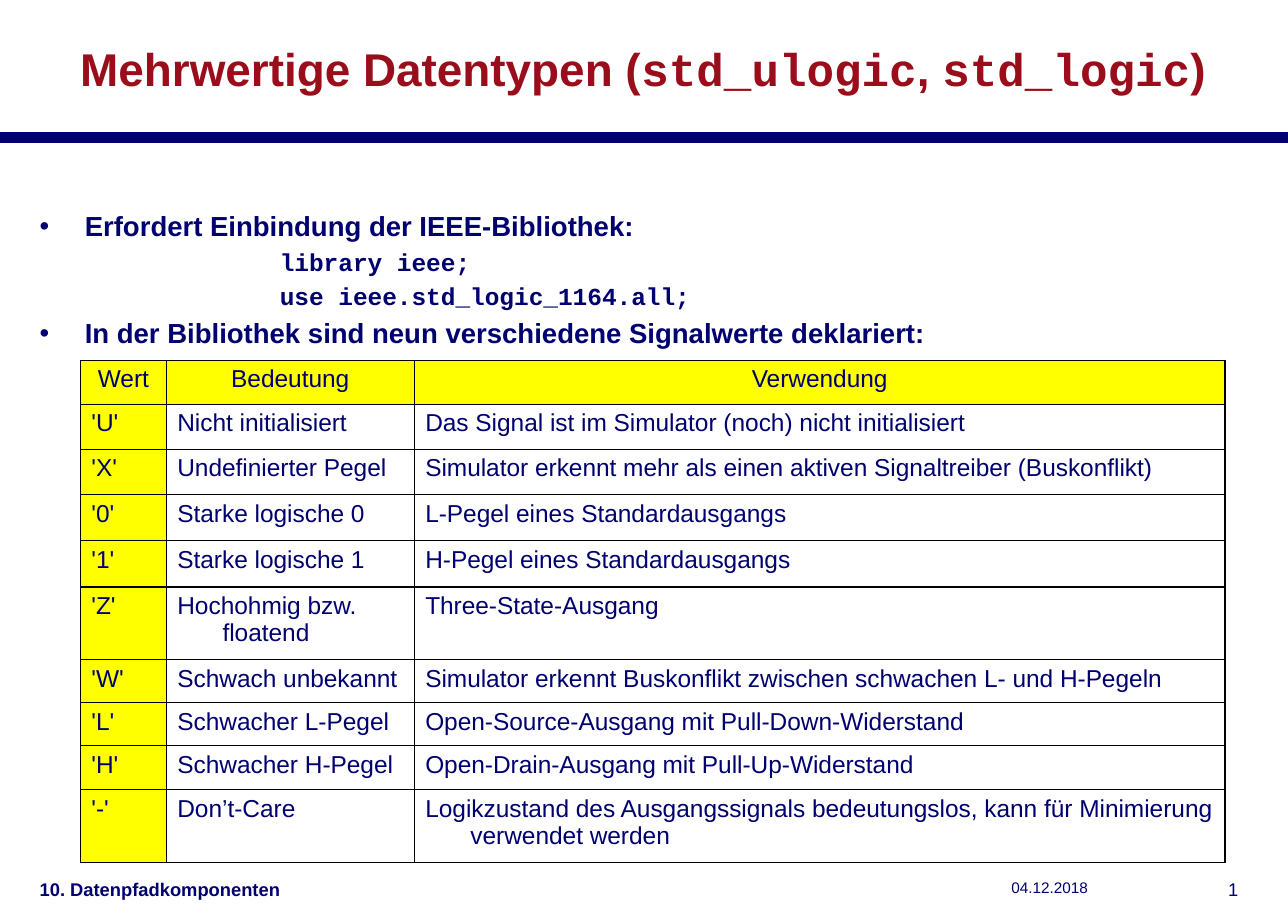
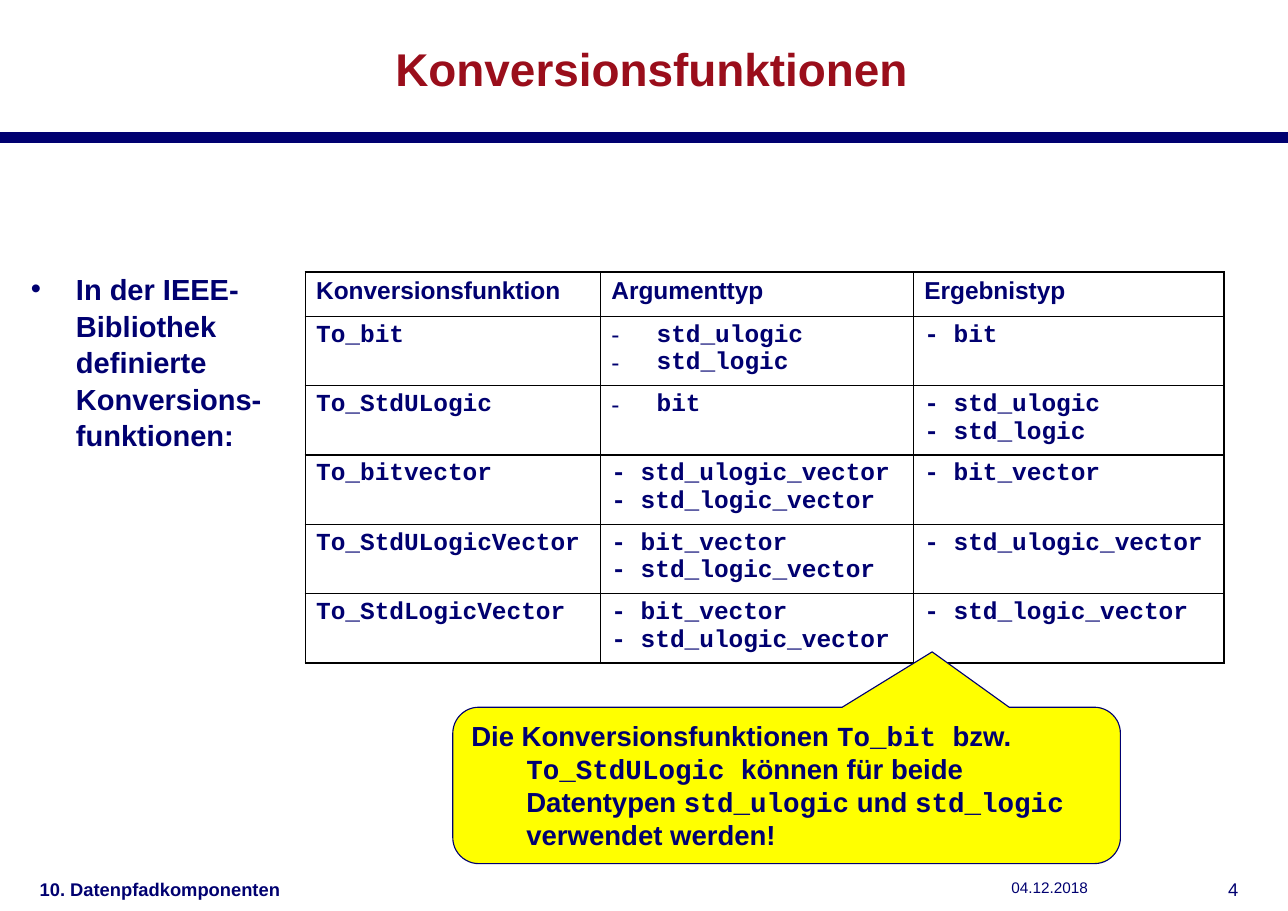
import dataclasses

import lxml.etree
import pptx
import pptx.dml.color
import pptx.enum.shapes
import pptx.enum.text
import pptx.oxml.ns
import pptx.presentation
import pptx.shapes.base
import pptx.slide
import pptx.table
import pptx.text.text
import pptx.util

Inches = pptx.util.Inches
Pt = pptx.util.Pt
RGB = pptx.dml.color.RGBColor
Align = pptx.enum.text.PP_ALIGN
Anchor = pptx.enum.text.MSO_ANCHOR
qn = pptx.oxml.ns.qn


@dataclasses.dataclass(frozen=True)
class Theme:
    navy: RGB = RGB(0x00, 0x00, 0x70)
    red: RGB = RGB(0x9A, 0x0E, 0x1B)
    yellow: RGB = RGB(0xFF, 0xFF, 0x00)
    border: str = "000000"
    font: str = "Arial"
    code_font: str = "Courier New"
    title_size: float = 30
    side_size: float = 19
    body_size: float = 18
    table_size: float = 16
    footer_size: float = 12
    date_size: float = 10


THEME = Theme()


@dataclasses.dataclass(frozen=True)
class Style:
    size: float
    bold: bool = True
    color: RGB = THEME.navy
    align: Align = Align.LEFT
    margin: float = 0
    indent: float = 0
    space_before: float = 0
    line_spacing: float = 1.0
    bullet: str = ""


@dataclasses.dataclass(frozen=True)
class Para:
    """One paragraph; backticks enclose code."""
    text: str
    style: Style


@dataclasses.dataclass(frozen=True)
class Box:
    left: float
    top: float
    width: float
    height: float

    def lengths(self) -> tuple[pptx.util.Length, ...]:
        return tuple(Inches(value) for value in dataclasses.astuple(self))


@dataclasses.dataclass(frozen=True)
class Cell:
    paras: list[Para]
    highlighted: bool = False


TITLE = Style(THEME.title_size, color=THEME.red, align=Align.CENTER)
POINT = Style(THEME.body_size, margin=0.41, indent=-0.41, space_before=3.6, bullet="•")
SIDE_POINT = dataclasses.replace(POINT, size=THEME.side_size, line_spacing=1.05)
LISTING = Style(THEME.table_size, margin=2.45, indent=-0.27, space_before=3.2)
VALUE = Style(THEME.table_size, bold=False, margin=0.41, indent=-0.41)
VALUE_HEAD = dataclasses.replace(VALUE, align=Align.CENTER)
ENTRY = dataclasses.replace(VALUE, bold=True, align=Align.JUSTIFY)
DASHED_ENTRY = dataclasses.replace(ENTRY, bullet="-")
REMARK = Style(THEME.body_size, margin=0.5, indent=-0.5, space_before=9)
CHAPTER = Style(THEME.footer_size)
PAGE = Style(THEME.footer_size, bold=False, align=Align.RIGHT)
DATE = Style(THEME.date_size, bold=False)

SIGNAL_HEADS = ["Wert", "Bedeutung", "Verwendung"]
SIGNALS = [
    ("'U'", "Nicht initialisiert", "Das Signal ist im Simulator (noch) nicht initialisiert"),
    ("'X'", "Undefinierter Pegel",
     "Simulator erkennt mehr als einen aktiven Signaltreiber (Buskonflikt)"),
    ("'0'", "Starke logische 0", "L-Pegel eines Standardausgangs"),
    ("'1'", "Starke logische 1", "H-Pegel eines Standardausgangs"),
    ("'Z'", "Hochohmig bzw. floatend", "Three-State-Ausgang"),
    ("'W'", "Schwach unbekannt",
     "Simulator erkennt Buskonflikt zwischen schwachen L- und H-Pegeln"),
    ("'L'", "Schwacher L-Pegel", "Open-Source-Ausgang mit Pull-Down-Widerstand"),
    ("'H'", "Schwacher H-Pegel", "Open-Drain-Ausgang mit Pull-Up-Widerstand"),
    ("'-'", "Don’t-Care",
     "Logikzustand des Ausgangssignals bedeutungslos, kann für Minimierung verwendet werden"),
]

CONVERSION_HEADS = ["Konversionsfunktion", "Argumenttyp", "Ergebnistyp"]
CONVERSIONS = [
    ("To_bit", ["std_ulogic", "std_logic"], ["bit"]),
    ("To_StdULogic", ["bit"], ["std_ulogic", "std_logic"]),
    ("To_bitvector", ["std_ulogic_vector", "std_logic_vector"], ["bit_vector"]),
    ("To_StdULogicVector", ["bit_vector", "std_logic_vector"], ["std_ulogic_vector"]),
    ("To_StdLogicVector", ["bit_vector", "std_ulogic_vector"], ["std_logic_vector"]),
]
SCALAR_FUNCTIONS = {"To_bit", "To_StdULogic"}


def format_paragraph(paragraph: pptx.text.text._Paragraph, style: Style) -> None:
    paragraph.alignment = style.align
    paragraph.space_before = Pt(style.space_before)
    paragraph.line_spacing = style.line_spacing
    properties = paragraph._p.get_or_add_pPr()
    properties.set("marL", str(Inches(style.margin)))
    properties.set("indent", str(Inches(style.indent)))
    if style.bullet:
        lxml.etree.SubElement(properties, qn("a:buFont"), typeface=THEME.font)
        lxml.etree.SubElement(properties, qn("a:buChar"), char=style.bullet)
    else:
        lxml.etree.SubElement(properties, qn("a:buNone"))


def write(frame: pptx.text.text.TextFrame, paras: list[Para]) -> None:
    for index, para in enumerate(paras):
        paragraph = frame.add_paragraph() if index else frame.paragraphs[0]
        format_paragraph(paragraph, para.style)
        for part, words in enumerate(para.text.split("`")):
            if words:
                run = paragraph.add_run()
                run.text = words
                run.font.name = THEME.code_font if part % 2 else THEME.font
                run.font.size = Pt(para.style.size)
                run.font.bold = para.style.bold
                run.font.color.rgb = para.style.color


def fill_frame(shape: pptx.shapes.base.BaseShape, paras: list[Para],
               anchor: Anchor = Anchor.TOP, side_inset: float = 0.11) -> None:
    frame = shape.text_frame
    frame.word_wrap = True
    frame.auto_size = pptx.enum.text.MSO_AUTO_SIZE.NONE
    frame.vertical_anchor = anchor
    frame.margin_left = frame.margin_right = Inches(side_inset)
    frame.margin_top = frame.margin_bottom = Inches(0.05)
    write(frame, paras)


def add_text(slide: pptx.slide.Slide, box: Box, paras: list[Para]) -> None:
    fill_frame(slide.shapes.add_textbox(*box.lengths()), paras)


def add_band(slide: pptx.slide.Slide, width: pptx.util.Length) -> None:
    height = Inches(1.25)
    band = slide.shapes.add_connector(
        pptx.enum.shapes.MSO_CONNECTOR.STRAIGHT, 0, height, width, height)
    band.line.color.rgb = THEME.navy
    band.line.width = Pt(7.09)
    lxml.etree.SubElement(band._element.spPr, qn("a:effectLst"))


def add_slide(deck: pptx.presentation.Presentation, title: str, title_left: float,
              page: int) -> pptx.slide.Slide:
    """Add a slide with the shared title, band and footer."""
    slide = deck.slides.add_slide(deck.slide_layouts.get_by_name("Title Only"))
    heading = slide.shapes.title
    heading.left, heading.top, heading.width, heading.height = Box(
        title_left, 0.28, 11.17, 0.68).lengths()
    fill_frame(heading, [Para(title, TITLE)], Anchor.MIDDLE)
    add_band(slide, deck.slide_width)
    for left, width, text, style in (
        (0.25, 3.31, "10. Datenpfadkomponenten", CHAPTER),
        (9.07, 1.65, "04.12.2018", DATE),
        (10.88, 0.47, str(page), PAGE),
    ):
        add_text(slide, Box(left, 7.92, width, 0.35), [Para(text, style)])
    return slide


def add_borders(cell: pptx.table._Cell) -> None:
    properties = cell._tc.get_or_add_tcPr()
    for position, side in enumerate(("a:lnL", "a:lnR", "a:lnT", "a:lnB")):
        line = lxml.etree.Element(qn(side), w=str(Pt(1)))
        fill = lxml.etree.SubElement(line, qn("a:solidFill"))
        lxml.etree.SubElement(fill, qn("a:srgbClr"), val=THEME.border)
        properties.insert(position, line)


def add_grid(slide: pptx.slide.Slide, left: float, top: float, widths: list[float],
             heights: list[float], rows: list[list[Cell]]) -> None:
    box = Box(left, top, sum(widths), sum(heights))
    table = slide.shapes.add_table(len(heights), len(widths), *box.lengths()).table
    table.first_row = table.horz_banding = False
    for column, width in zip(table.columns, widths):
        column.width = Inches(width)
    for row, height, contents in zip(table.rows, heights, rows):
        row.height = Inches(height)
        for cell, content in zip(row.cells, contents):
            if content.highlighted:
                cell.fill.solid()
                cell.fill.fore_color.rgb = THEME.yellow
            else:
                cell.fill.background()
            add_borders(cell)
            cell.margin_left = cell.margin_right = Inches(0.1)
            cell.margin_top = cell.margin_bottom = Inches(0.05)
            write(cell.text_frame, content.paras)


def type_cell(names: list[str], bulleted: bool = False) -> Cell:
    """List type names, with real bullets or with typed dashes."""
    if bulleted:
        return Cell([Para(f"`{name}`", DASHED_ENTRY) for name in names])
    return Cell([Para(f"`- {name}`", ENTRY) for name in names])


def add_callout(slide: pptx.slide.Slide, box: Box, text: str) -> None:
    callout = slide.shapes.add_shape(
        pptx.enum.shapes.MSO_SHAPE.ROUNDED_RECTANGULAR_CALLOUT, *box.lengths())
    for index, value in enumerate((0.218, -0.854, 0.167)):
        callout.adjustments[index] = value
    callout.shadow.inherit = False
    callout.fill.solid()
    callout.fill.fore_color.rgb = THEME.yellow
    callout.line.color.rgb = THEME.navy
    callout.line.width = Pt(0.75)
    fill_frame(callout, [Para(text, REMARK)], Anchor.MIDDLE, side_inset=0.1)


def build_data_types(deck: pptx.presentation.Presentation) -> None:
    slide = add_slide(
        deck, "Mehrwertige Datentypen (`std_ulogic`, `std_logic`)", 0.25, 1)
    add_text(slide, Box(0.25, 1.85, 9.77, 5.9), [
        Para("Erfordert Einbindung der IEEE-Bibliothek:", POINT),
        Para("`library ieee;`", LISTING),
        Para("`use ieee.std_logic_1164.all;`", LISTING),
        Para("In der Bibliothek sind neun verschiedene Signalwerte deklariert:", POINT),
    ])
    rows = [[Cell([Para(head, VALUE_HEAD)], True) for head in SIGNAL_HEADS]]
    for signal in SIGNALS:
        rows.append([Cell([Para(text, VALUE)], column == 0)
                     for column, text in enumerate(signal)])
    heights = [0.4, 0.41, 0.41, 0.42, 0.42, 0.66, 0.39, 0.39, 0.4, 0.66]
    add_grid(slide, 0.73, 3.27, [0.78, 2.25, 7.36], heights, rows)


def build_conversions(deck: pptx.presentation.Presentation) -> None:
    slide = add_slide(deck, "Konversionsfunktionen", 0.33, 4)
    add_text(slide, Box(0.17, 2.4, 2.45, 5.43), [
        Para("In der IEEE-Bibliothek definierte Konversions-funktionen:", SIDE_POINT)])
    rows = [[Cell([Para(head, ENTRY)]) for head in CONVERSION_HEADS]]
    for function, arguments, results in CONVERSIONS:
        rows.append([
            Cell([Para(f"`{function}`", ENTRY)]),
            type_cell(arguments, function in SCALAR_FUNCTIONS),
            type_cell(results),
        ])
    heights = [0.4] + [0.63] * len(CONVERSIONS)
    add_grid(slide, 2.77, 2.47, [2.68, 2.84, 2.82], heights, rows)
    add_callout(
        slide, Box(4.11, 6.42, 6.06, 1.42),
        "Die Konversionsfunktionen `To_bit `bzw. `To_StdULogic `können für beide "
        "Datentypen `std_ulogic` und `std_logic` verwendet werden!")


def main() -> None:
    deck = pptx.Presentation()
    deck.slide_width, deck.slide_height = Inches(11.69), Inches(8.27)
    build_data_types(deck)
    build_conversions(deck)
    deck.save("out.pptx")


if __name__ == "__main__":
    main()
